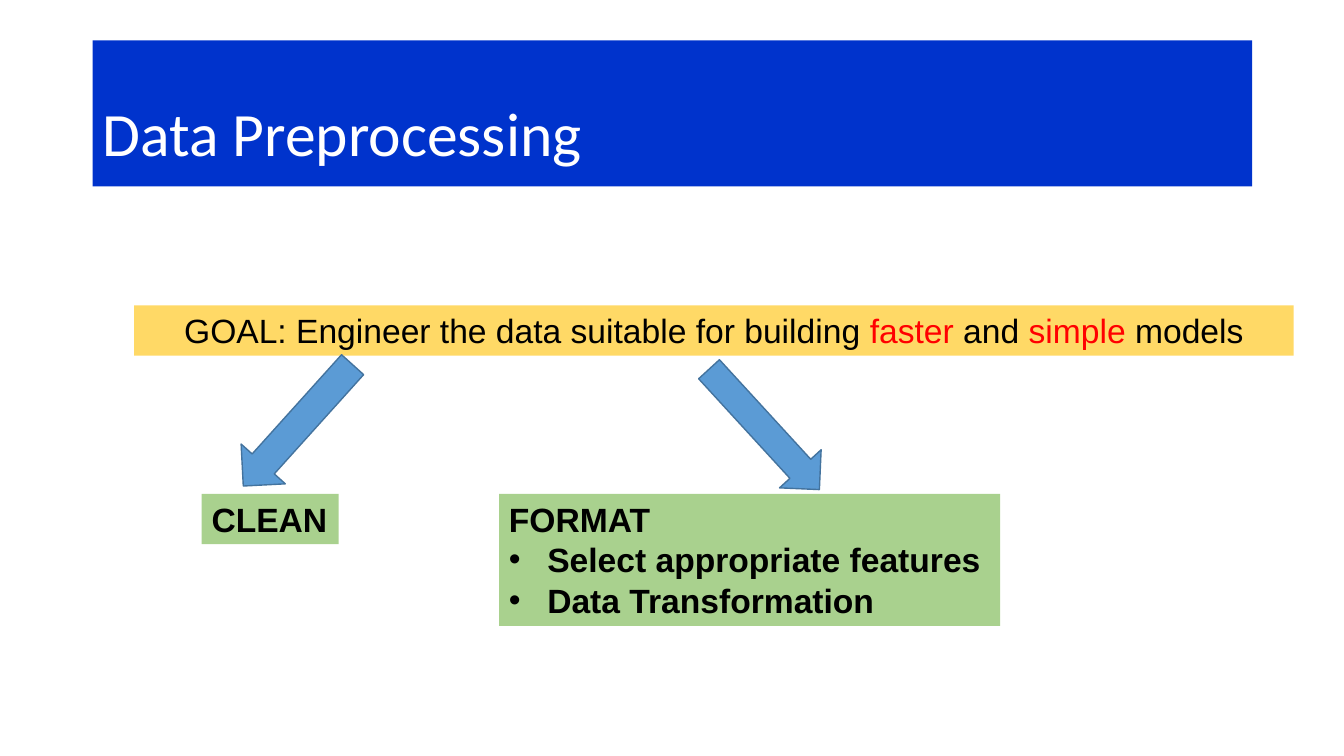
from lxml.etree import SubElement
from pptx import Presentation
from pptx.dml.color import RGBColor
from pptx.enum.shapes import MSO_SHAPE
from pptx.enum.text import MSO_ANCHOR, PP_ALIGN
from pptx.oxml.ns import qn
from pptx.util import Inches, Pt

BLACK, RED, WHITE = "000000", "FF0000", "FFFFFF"
BLUE, YELLOW, GREEN = "0033CC", "FFD966", "A9D18E"
ARROW_FILL, ARROW_LINE = "5B9BD5", "43739E"
INDENT = 0.38

TITLE = [[("Data Preprocessing", WHITE)]]
GOAL = [[
    ("GOAL: Engineer the data suitable for building ", BLACK),
    ("faster", RED),
    (" and ", BLACK),
    ("simple", RED),
    (" models", BLACK),
]]
CLEAN = [[("CLEAN", BLACK)]]
FORMAT = [
    [("FORMAT", BLACK)],
    [("Select appropriate features", BLACK)],
    [("Data Transformation", BLACK)],
]
# left, top, width, height, rotation
ARROWS = [(2.66, 3.41, 0.59, 1.62, 42), (7.3, 3.45, 0.56, 1.62, 317.5)]


def rgb(color):
    return RGBColor.from_string(color)


def add_box(s, at, fill, paragraphs, size=24, font="Arial", bold=False):
    """Add a filled text box; each paragraph is a list of (text, colour) runs."""
    sp = s.shapes.add_textbox(*map(Inches, at))
    sp.fill.solid()
    sp.fill.fore_color.rgb = rgb(fill)
    tf = sp.text_frame
    tf.word_wrap = True
    for i, runs in enumerate(paragraphs):
        p = tf.paragraphs[0] if i == 0 else tf.add_paragraph()
        for text, color in runs:
            r = p.add_run()
            r.text = text
            r.font.name = font
            r.font.size = Pt(size)
            r.font.bold = bold
            r.font.color.rgb = rgb(color)
    return tf


def add_bullet(p):
    pPr = p._p.get_or_add_pPr()
    pPr.set("marL", str(Inches(INDENT)))
    pPr.set("indent", str(-Inches(INDENT)))
    SubElement(pPr, qn("a:buFont")).set("typeface", "Arial")
    SubElement(pPr, qn("a:buChar")).set("char", "•")


def add_arrow(s, left, top, width, height, rotation):
    sp = s.shapes.add_shape(
        MSO_SHAPE.DOWN_ARROW, *map(Inches, (left, top, width, height)))
    sp.rotation = rotation
    sp.shadow.inherit = False
    sp.fill.solid()
    sp.fill.fore_color.rgb = rgb(ARROW_FILL)
    sp.line.color.rgb = rgb(ARROW_LINE)
    sp.line.width = Pt(1)


def main():
    prs = Presentation()
    prs.slide_width, prs.slide_height = Inches(13.33), Inches(7.5)
    s = prs.slides.add_slide(prs.slide_layouts[6])

    title = add_box(s, (0.92, 0.4, 11.5, 1.45), BLUE, TITLE, 44, "Calibri")
    title.vertical_anchor = MSO_ANCHOR.MIDDLE
    title.paragraphs[0].line_spacing = 1.5

    goal = add_box(s, (1.33, 3.03, 11.5, 0.5), YELLOW, GOAL)
    goal.paragraphs[0].alignment = PP_ALIGN.CENTER

    clean = add_box(s, (2, 4.9, 1.36, 0.5), GREEN, CLEAN, bold=True)
    clean.word_wrap = False

    steps = add_box(s, (4.95, 4.9, 4.97, 1.31), GREEN, FORMAT, bold=True)
    for p in steps.paragraphs[1:]:
        add_bullet(p)

    for arrow in ARROWS:
        add_arrow(s, *arrow)

    prs.save("out.pptx")


if __name__ == "__main__":
    main()
